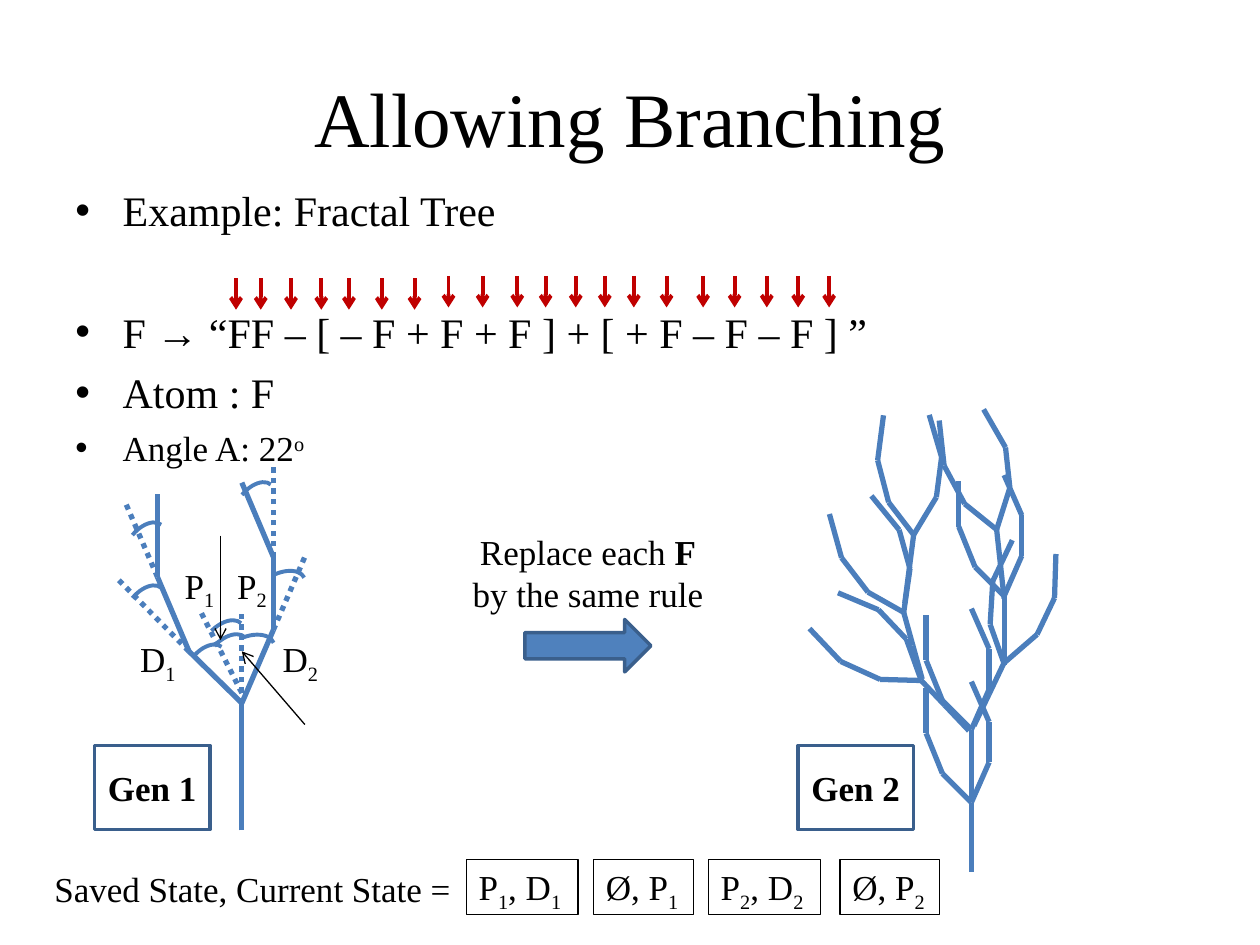
from dataclasses import dataclass
from itertools import pairwise
from math import cos, radians, sin

from lxml.etree import SubElement
from pptx import Presentation
from pptx.dml.color import RGBColor
from pptx.enum.dml import MSO_LINE
from pptx.enum.shapes import MSO_CONNECTOR, MSO_SHAPE
from pptx.enum.text import MSO_ANCHOR, MSO_AUTO_SIZE, PP_ALIGN
from pptx.oxml.ns import qn
from pptx.util import Pt


@dataclass(frozen=True)
class Theme:
    font: str = "Times New Roman"
    ink: str = "000000"
    branch: str = "4B7EBC"
    step: str = "C00000"
    arrow: str = "4F81BD"
    frame: str = "3A5F8C"
    title: int = 44
    body: int = 24
    small: int = 20


THEME = Theme()


def add_span(para, text, *, size=THEME.small, bold=False, baseline=0):
    span = para.add_run()
    span.text = text
    span.font.name = THEME.font
    span.font.size = Pt(size)
    span.font.bold = bold
    span.font.color.rgb = RGBColor.from_string(THEME.ink)
    if baseline:
        span._r.get_or_add_rPr().set("baseline", str(baseline * 1000))


def add_indexed(para, text):
    """Write text in which each digit is a subscript."""
    for part in text.replace("1", "|1|").replace("2", "|2|").split("|"):
        if part:
            add_span(para, part, baseline=-25 if part.isdigit() else 0)


class SlideBuilder:
    def __init__(self, slide, theme):
        self.shapes = slide.shapes
        self.theme = theme

    def text(self, area, *, anchor=MSO_ANCHOR.MIDDLE, align=PP_ALIGN.CENTER):
        box = self.shapes.add_textbox(*map(Pt, area))
        return self.setup_text(box, anchor, align)

    def setup_text(self, box, anchor, align):
        frame = box.text_frame
        frame.word_wrap = True
        frame.vertical_anchor = anchor
        frame.paragraphs[0].alignment = align
        return frame

    def bullet(self, para, space_before):
        props = para._p.get_or_add_pPr()
        props.set("marL", str(Pt(27)))
        props.set("indent", str(Pt(-27)))
        SubElement(props, qn("a:buFont"), typeface="Arial")
        SubElement(props, qn("a:buChar"), char="•")
        para.space_before = Pt(space_before)

    def shape(self, kind, area, *, line, width, fill=None, turn=0):
        shape = self.shapes.add_shape(kind, *map(Pt, area))
        shape.shadow.inherit = False
        shape.rotation = turn
        shape.line.color.rgb = RGBColor.from_string(line)
        shape.line.width = Pt(width)
        if fill:
            shape.fill.solid()
            shape.fill.fore_color.rgb = RGBColor.from_string(fill)
        else:
            shape.fill.background()
        return shape

    def line(self, start, end, *, color=THEME.branch, width=3, dotted=False, head=False):
        line = self.shapes.add_connector(MSO_CONNECTOR.STRAIGHT, *map(Pt, (*start, *end)))
        line.line.color.rgb = RGBColor.from_string(color)
        line.line.width = Pt(width)
        if dotted:
            line.line.dash_style = MSO_LINE.ROUND_DOT
        if head:
            SubElement(line.line._get_or_add_ln(), qn("a:tailEnd"), type="arrow")
        SubElement(line._element.spPr, qn("a:effectLst"))

    def path_lines(self, points):
        for start, end in pairwise(points):
            self.line(start, end)

    def twig(self, root, angle):
        """Draw one generation of the tree, turned clockwise about its root."""
        c, s = cos(radians(angle)), sin(radians(angle))
        for stem in TWIG:
            self.path_lines([(root[0] + x * c - y * s, root[1] + x * s + y * c)
                             for x, y in stem])


TWIG = [
    [(0, 0), (0, -20), (0, -39.6), (-16.6, -56.2), (-25.9, -79.2), (-25.9, -105.1)],
    [(0, -39.6), (10.1, -62.6), (10.1, -85.7), (0, -108.7)],
]


def main():
    deck = Presentation()
    deck.slide_width, deck.slide_height = Pt(720), Pt(540)
    page = SlideBuilder(deck.slides.add_slide(deck.slide_layouts[6]), THEME)

    # Title and bullets
    title = page.text((36, 21.6, 648, 90))
    add_span(title.paragraphs[0], "Allowing Branching", size=THEME.title)
    body = page.text((36, 102.2, 648, 380), anchor=MSO_ANCHOR.TOP, align=PP_ALIGN.LEFT)
    bullets = [
        ("Example: Fractal Tree", THEME.body, 0),
        ("F → “FF – [ – F + F + F ] + [ + F – F – F ] ”", THEME.body, 40.4),
        ("Atom : F", THEME.body, 5.8),
        ("Angle A: 22", THEME.small, 5.6),
    ]
    for index, (text, size, gap) in enumerate(bullets):
        para = body.add_paragraph() if index else body.paragraphs[0]
        page.bullet(para, gap)
        add_span(para, text, size=size)
    add_span(para, "o", baseline=30)

    # One arrow over each symbol of the rule
    symbols = [134.9, 149, 166.3, 183.6, 199.4, 218.2, 236.9, 256.3, 275.8, 295.6,
               311.8, 329, 345.6, 362.2, 380.9, 401.8, 419.8, 438.2, 456.1, 473.8]
    for index, x in enumerate(symbols):
        top = 159 if index < 7 else 157.7
        page.line((x, top), (x, top + 18), color=THEME.step, width=2.25, head=True)

    # Generation 1: branches, dotted headings, angle arcs
    fork, left, left_top = (138.2, 401.8), (108, 372.2), (90, 329.8)
    right, right_top = (156.2, 360), (156.2, 318.2)
    page.path_lines([(138.2, 474.5), (138.2, 438), fork, left, left_top, (90, 282.2)])
    page.path_lines([fork, right, right_top, (138.2, 275.8)])
    headings = [
        (fork, (138.2, 347.8)), ((138.2, 396), (113.8, 347.8)),
        (left, (66.2, 329.8)), (left_top, (72, 288)),
        (right, (174.2, 318.2)), (right_top, (156.2, 264.2)),
    ]
    for start, end in headings:
        page.line(start, end, dotted=True)
    arcs = [
        (114.5, 365.8, 314.5), (102.2, 372.2, 309.1), (67.7, 338.4, 309.1),
        (67.7, 302.4, 309.1), (127.4, 363.6, 339.3), (145.4, 327.6, 334.1),
        (130.3, 279.4, 309.1), (112.3, 357.8, 314.5),
    ]
    for x, y, turn in arcs:
        page.shape(MSO_SHAPE.ARC, (x, y, 30, 18), line=THEME.branch, width=2.25, turn=turn)

    # Saved points and directions
    for start, end in [((126, 306), (126, 365.8)), ((174.2, 414), (138.2, 372.2))]:
        page.line(start, end, color=THEME.ink, width=0.75, head=True)
    for text, x, y in [("P1", 90, 324), ("P2", 120, 324), ("D1", 66.2, 366), ("D2", 147.6, 366)]:
        add_indexed(page.text((x, y, 48, 24)).paragraphs[0], text)

    # Generation 2: a twig in place of every F
    twigs = [
        ((555.1, 498.2), 0), ((555.1, 456.5), 0), ((553.7, 417.6), -43.5),
        ((527, 388.1), -15.5), ((517, 344.9), 7.4), ((556.6, 414.7), 25.5),
        ((573.8, 380.2), 0), ((573.8, 342), -6.2),
    ]
    for root, angle in twigs:
        page.twig(root, angle)

    # Replacement step
    page.shape(MSO_SHAPE.RIGHT_ARROW, (300, 354, 72, 30),
               line=THEME.frame, width=2, fill=THEME.arrow)
    para = page.text((258, 300, 156, 54)).paragraphs[0]
    add_span(para, "Replace each ")
    add_span(para, "F", bold=True)
    add_span(para, " by the same rule")
    for text, x in [("Gen 1", 54), ("Gen 2", 456)]:
        box = page.shape(MSO_SHAPE.RECTANGLE, (x, 426, 66, 48), line=THEME.frame, width=2)
        frame = page.setup_text(box, MSO_ANCHOR.MIDDLE, PP_ALIGN.CENTER)
        add_span(frame.paragraphs[0], text, bold=True)

    # State stack
    caption = page.text((24, 492, 246, 31.5), anchor=MSO_ANCHOR.TOP, align=PP_ALIGN.LEFT)
    add_span(caption.paragraphs[0], "Saved State, Current State =")
    states = [("P1, D1", 266.4, 64), ("Ø, P1", 339.1, 57), ("P2, D2", 404.8, 64), ("Ø, P2", 480, 57)]
    for text, x, width in states:
        box = page.shape(MSO_SHAPE.RECTANGLE, (x, 491, width, 31.5), line=THEME.ink, width=0.75)
        frame = page.setup_text(box, MSO_ANCHOR.TOP, PP_ALIGN.LEFT)
        frame.word_wrap = False
        frame.auto_size = MSO_AUTO_SIZE.SHAPE_TO_FIT_TEXT
        add_indexed(frame.paragraphs[0], text)

    deck.save("out.pptx")


if __name__ == "__main__":
    main()
